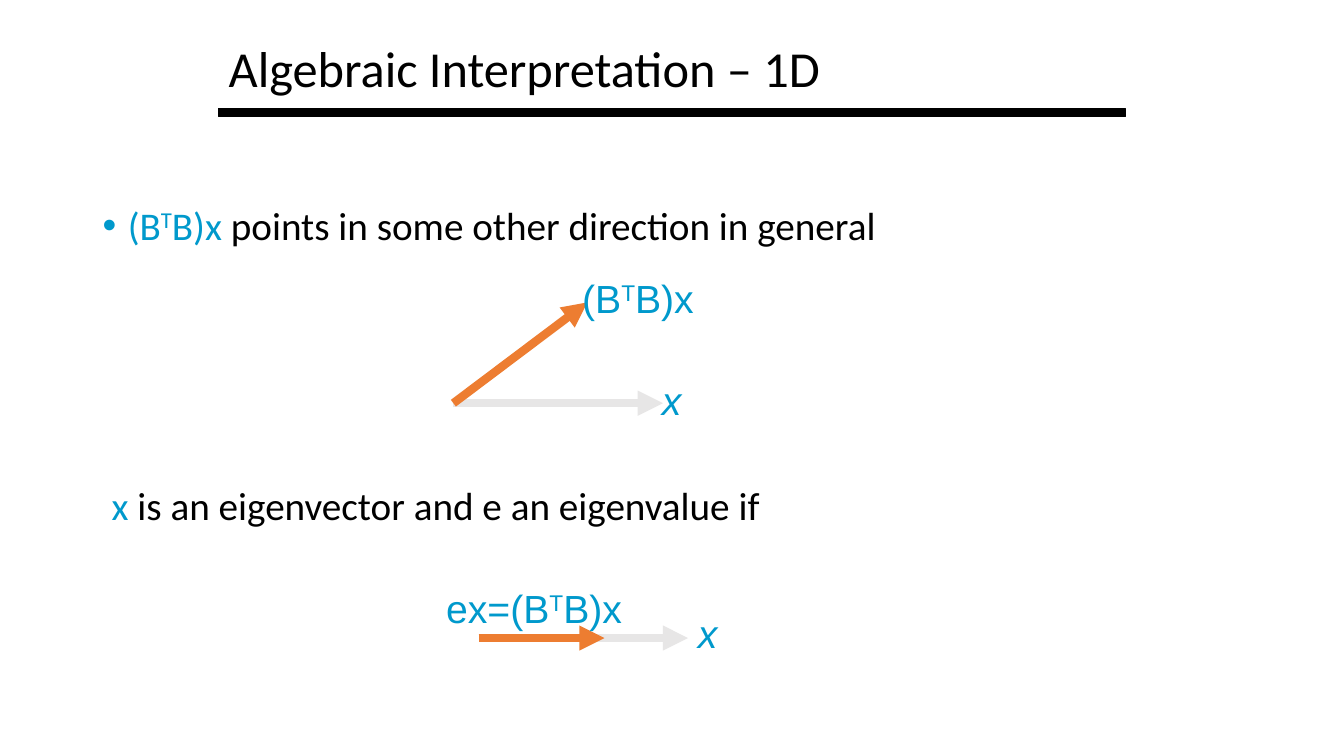
"""Build the slide on the algebraic interpretation of eigenvectors in 1D."""
from lxml import etree
from pptx import Presentation
from pptx.dml.color import RGBColor
from pptx.enum.shapes import MSO_CONNECTOR, MSO_SHAPE
from pptx.enum.text import MSO_ANCHOR, PP_ALIGN
from pptx.oxml.ns import qn
from pptx.util import Inches, Pt

LINE, RECT = MSO_CONNECTOR.STRAIGHT, MSO_SHAPE.RECTANGLE
MIDDLE, LEFT = MSO_ANCHOR.MIDDLE, PP_ALIGN.LEFT
COLORS = {"ink": "000000", "math": "0099CC", "gray": "E7E6E6", "orange": "ED7D31"}

TITLE = "Algebraic Interpretation – 1D"
BTB = [("(B", "math", ""), ("T", "math", "super"), ("B)x", "math", "")]
POINTS = BTB + [(" points in some other direction in general", "ink", "")]
EIGEN = [("x ", "math", ""), ("is an eigenvector and e an eigenvalue if", "ink", "")]
SCALED = [("ex=", "math", "")] + BTB
AXIS = [("x", "math", "italic")]

ARROWS = [
    ((4.5, 4), (6.58, 4), "gray"),
    ((4.5, 4), (5.83, 3), "orange"),
    ((4.75, 6.33), (6.83, 6.33), "gray"),
    ((4.75, 6.33), (6, 6.33), "orange"),
]
LABELS = [
    (AXIS, 6.47, 3.68, 0.39),
    (BTB, 5.68, 2.67, 1.31),
    (AXIS, 6.83, 6, 0.4),
    (SCALED, 4.33, 5.75, 2.08),
]


def rgb(name):
    return RGBColor.from_string(COLORS[name])


def style(font, face, size, color):
    font.name, font.size = face, Pt(size)
    font.color.rgb = rgb(color)


def write(para, parts, face):
    for text, color, look in parts:
        run = para.add_run()
        run.text = text
        style(run.font, face, 28, color)
        if look == "italic":
            run.font.italic = True
        if look == "super":
            run.font._element.set("baseline", "30000")


def add_box(slide, left, top, width, height, wrap):
    box = slide.shapes.add_textbox(*map(Inches, (left, top, width, height)))
    box.text_frame.word_wrap = wrap
    return box.text_frame


def add_bullet(para):
    props = para._p.get_or_add_pPr()
    props.set("marL", str(Inches(0.25)))
    props.set("indent", str(-Inches(0.25)))
    tint = etree.SubElement(props, qn("a:buClr"))
    etree.SubElement(tint, qn("a:srgbClr"), val=COLORS["math"])
    etree.SubElement(props, qn("a:buFont"), typeface="Arial")
    etree.SubElement(props, qn("a:buChar"), char="•")


def add_body(slide):
    frame = add_box(slide, 0.92, 2, 11.5, 4.76, True)
    first, second = frame.paragraphs[0], frame.add_paragraph()
    add_bullet(first)
    second._p.get_or_add_pPr().set("marL", str(Inches(0.09)))
    second.space_before = Pt(170)
    for para, parts in ((first, POINTS), (second, EIGEN)):
        para.line_spacing = 0.9
        write(para, parts, "Calibri")


def add_arrow(slide, start, end, color):
    arrow = slide.shapes.add_connector(LINE, *map(Inches, start + end))
    arrow.line.color.rgb = rgb(color)
    arrow.line.width = Pt(6)
    etree.SubElement(arrow.line._get_or_add_ln(), qn("a:tailEnd"), type="triangle")
    etree.SubElement(arrow._element.spPr, qn("a:effectLst"))


def add_title(slide):
    title = slide.shapes.title
    title.left, title.top = Inches(2.17), Inches(0.08)
    title.width, title.height = Inches(9), Inches(1.25)
    frame = title.text_frame
    frame.text = TITLE
    frame.vertical_anchor = MIDDLE
    para = frame.paragraphs[0]
    para.alignment, para.line_spacing = LEFT, 0.9
    style(para.runs[0].font, "Calibri", 36, "ink")


def add_rule(slide):
    rule = slide.shapes.add_shape(RECT, *map(Inches, (2.17, 1.08, 9, 0.08)))
    rule.shadow.inherit = False
    rule.fill.solid()
    rule.fill.fore_color.rgb = rule.line.color.rgb = rgb("ink")
    rule.line.width = Pt(0.75)


def main():
    deck = Presentation()
    deck.slide_width, deck.slide_height = Inches(13.34), Inches(7.5)
    slide = deck.slides.add_slide(deck.slide_layouts[5])
    add_title(slide)
    add_body(slide)
    for start, end, color in ARROWS:
        add_arrow(slide, start, end, color)
    for parts, left, top, width in LABELS:
        frame = add_box(slide, left, top, width, 0.57, False)
        write(frame.paragraphs[0], parts, "Arial")
    add_rule(slide)
    deck.save("out.pptx")


if __name__ == "__main__":
    main()
